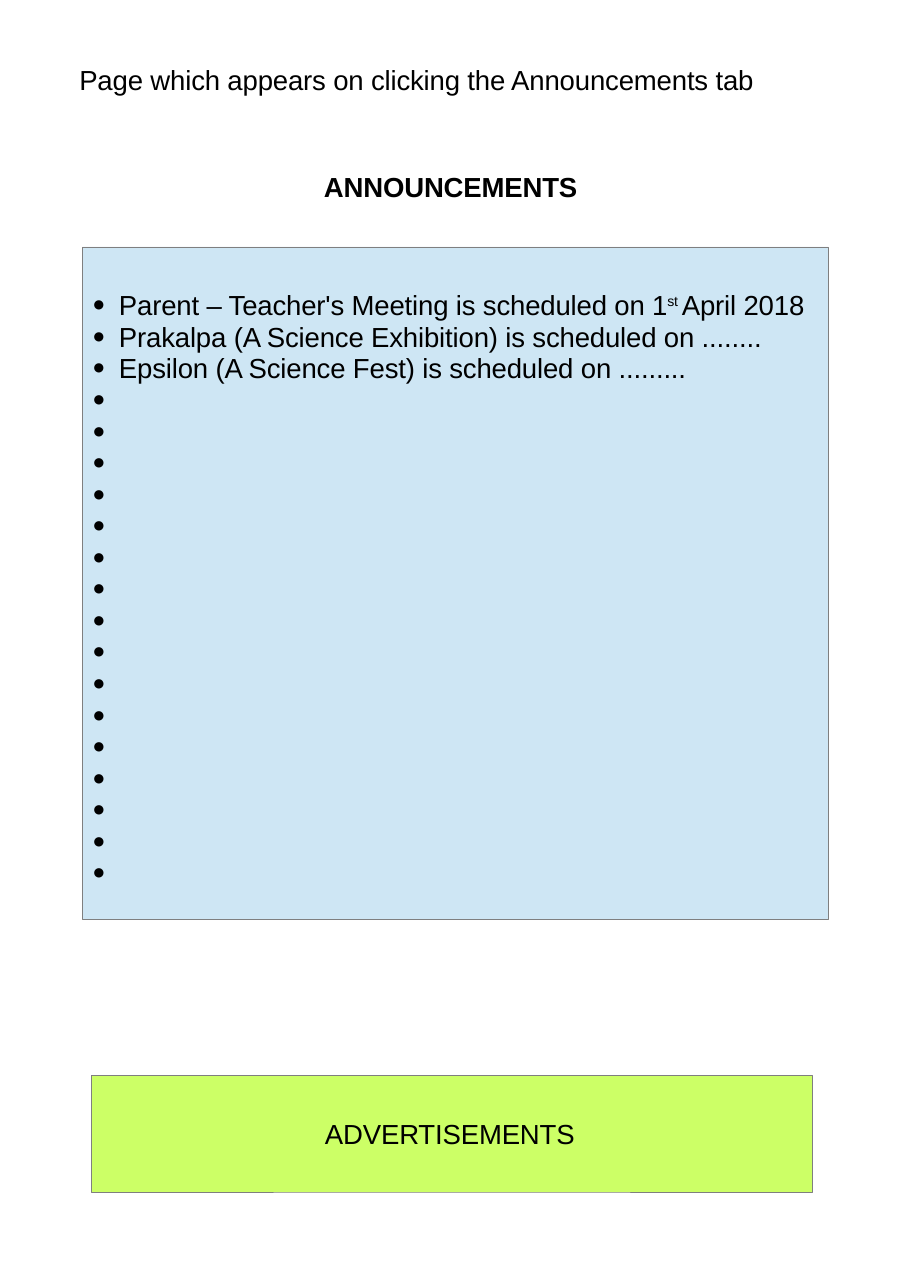
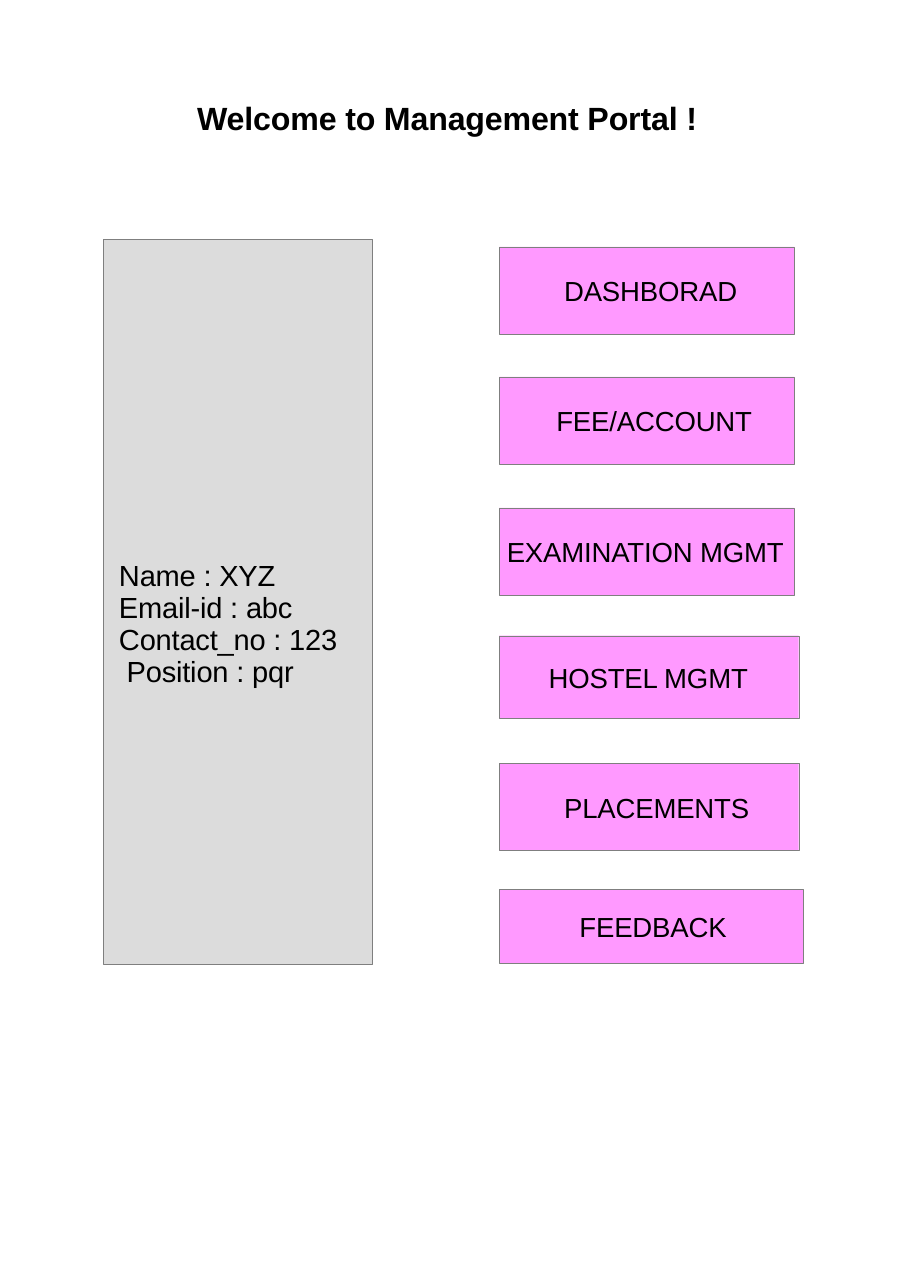
from dataclasses import dataclass

from lxml.etree import SubElement
from pptx import Presentation
from pptx.dml.color import RGBColor
from pptx.enum.shapes import MSO_SHAPE as Preset
from pptx.enum.text import MSO_ANCHOR as Anchor, PP_ALIGN as Align
from pptx.oxml.ns import qn
from pptx.util import Inches, Pt

BLACK, OUTLINE = "000000", "7F7F7F"
BLUE, LIME, PINK, GREY = "CEE6F4", "CCFF66", "FF99FF", "DCDCDC"
BODY_FONT, BULLET_FONT = "Arial", "Roboto"
BODY_SIZE, BULLET_SIZE = 18, 8
BULLET = "●"
LIST_PITCH, CONTACT_PITCH = 20.6, 20.9


@dataclass(frozen=True)
class Box:
    left: float
    top: float
    width: float
    height: float


@dataclass(frozen=True)
class Run:
    text: str
    size: float = BODY_SIZE
    bold: bool = False
    font: str = BODY_FONT
    spacing: float = -0.1
    raised: int = 0


@dataclass(frozen=True)
class Line:
    runs: tuple[Run, ...]
    pitch: float | None = None
    margin: float = 0
    bulleted: bool = False


@dataclass(frozen=True)
class Button:
    label: str
    top: float
    width: float
    height: float
    inset: float


def rgb(colour: str) -> RGBColor:
    return RGBColor.from_string(colour)


def add_run(paragraph, run: Run) -> None:
    part = paragraph.add_run()
    part.text = run.text
    part.font.name = run.font
    part.font.size = Pt(run.size)
    part.font.bold = run.bold
    part.font.color.rgb = rgb(BLACK)
    properties = part.font._element
    properties.set("spc", str(round(run.spacing * 100)))
    if run.raised:
        properties.set("baseline", str(run.raised * 1000))


def add_bullet(properties) -> None:
    percent = round(100 * BULLET_SIZE / BODY_SIZE)
    SubElement(properties, qn("a:buSzPct")).set("val", str(percent * 1000))
    SubElement(properties, qn("a:buFont")).set("typeface", BULLET_FONT)
    SubElement(properties, qn("a:buChar")).set("char", BULLET)


def write(shape, lines: list[Line], anchor=Anchor.TOP, left: float = 0, top: float = 0) -> None:
    frame = shape.text_frame
    frame.word_wrap = True
    frame.vertical_anchor = anchor
    frame.margin_left, frame.margin_top = Inches(left), Inches(top)
    frame.margin_right = frame.margin_bottom = 0
    for index, line in enumerate(lines):
        paragraph = frame.add_paragraph() if index else frame.paragraphs[0]
        properties = paragraph._p.get_or_add_pPr()
        properties.set("marL", str(Inches(line.margin)))
        properties.set("indent", str(-Inches(line.margin) if line.bulleted else 0))
        if line.bulleted:
            add_bullet(properties)
        paragraph.alignment = Align.LEFT
        if line.pitch:
            paragraph.line_spacing = Pt(line.pitch)
        for run in line.runs:
            add_run(paragraph, run)


def place(box: Box) -> tuple[int, ...]:
    return tuple(Inches(value) for value in (box.left, box.top, box.width, box.height))


def add_text(slide, box: Box, lines: list[Line]) -> None:
    write(slide.shapes.add_textbox(*place(box)), lines)


def add_panel(slide, box: Box, fill: str):
    panel = slide.shapes.add_shape(Preset.RECTANGLE, *place(box))
    panel.shadow.inherit = False
    panel.fill.solid()
    panel.fill.fore_color.rgb = rgb(fill)
    panel.line.color.rgb = rgb(OUTLINE)
    panel.line.width = Pt(0.25)
    return panel


def add_button(slide, box: Box, fill: str, label: str, inset: float) -> None:
    button = add_panel(slide, box, fill)
    write(button, [Line((Run(label),))], Anchor.MIDDLE, inset)


def build_announcements(slide) -> None:
    add_text(slide, Box(0.72, 0.57, 6.8, 0.35),
             [Line((Run("Page which appears on clicking the Announcements tab"),))])
    add_text(slide, Box(2.94, 1.54, 3, 0.35), [Line((Run("ANNOUNCEMENTS", bold=True),))])
    add_panel(slide, Box(0.75, 2.24, 6.77, 6.1), BLUE)

    announcements = [
        (Run("Parent – Teacher's Meeting is scheduled on 1"),
         Run("st ", size=15.8, raised=40), Run("April 2018")),
        (Run("Prakalpa (A Science Exhibition) is scheduled on ........"),),
        (Run("Epsilon (A Science Fest) is scheduled on ........."),),
    ]
    add_text(slide, Box(0.85, 2.63, 6.6, 0.88),
             [Line(runs, LIST_PITCH, 0.23, True) for runs in announcements])

    open_entry = Line((Run(BULLET, BULLET_SIZE, font=BULLET_FONT),), LIST_PITCH)
    add_text(slide, Box(0.85, 3.4, 0.2, 4.58), [open_entry] * 16)
    add_button(slide, Box(0.83, 9.76, 6.54, 1.06), LIME, "ADVERTISEMENTS", 2.12)


def build_portal(slide) -> None:
    add_text(slide, Box(1.79, 0.89, 5, 0.38),
             [Line((Run("Welcome to Management Portal !", 21, True),))])

    for button in (
        Button("DASHBORAD", 2.24, 2.68, 0.79, 0.59),
        Button("FEE/ACCOUNT", 3.42, 2.68, 0.79, 0.52),
        Button("EXAMINATION MGMT", 4.61, 2.68, 0.79, 0.07),
        Button("HOSTEL MGMT", 5.77, 2.72, 0.75, 0.45),
        Button("PLACEMENTS", 6.93, 2.72, 0.79, 0.59),
        Button("FEEDBACK", 8.07, 2.76, 0.67, 0.73),
    ):
        add_button(slide, Box(4.53, button.top, button.width, button.height),
                   PINK, button.label, button.inset)

    contact = [("Name : XYZ", 0), ("Email-id : abc", 0),
               ("Contact_no : 123", 0), ("Position : pqr", 0.07)]
    profile = add_panel(slide, Box(0.94, 2.17, 2.44, 6.58), GREY)
    write(profile, [Line((Run(text, 19),), CONTACT_PITCH, margin) for text, margin in contact],
          left=0.14, top=2.92)


def main() -> None:
    deck = Presentation()
    deck.slide_width, deck.slide_height = Inches(8.26), Inches(11.69)
    for build in (build_announcements, build_portal):
        build(deck.slides.add_slide(deck.slide_layouts[6]))
    deck.save("out.pptx")


if __name__ == "__main__":
    main()
